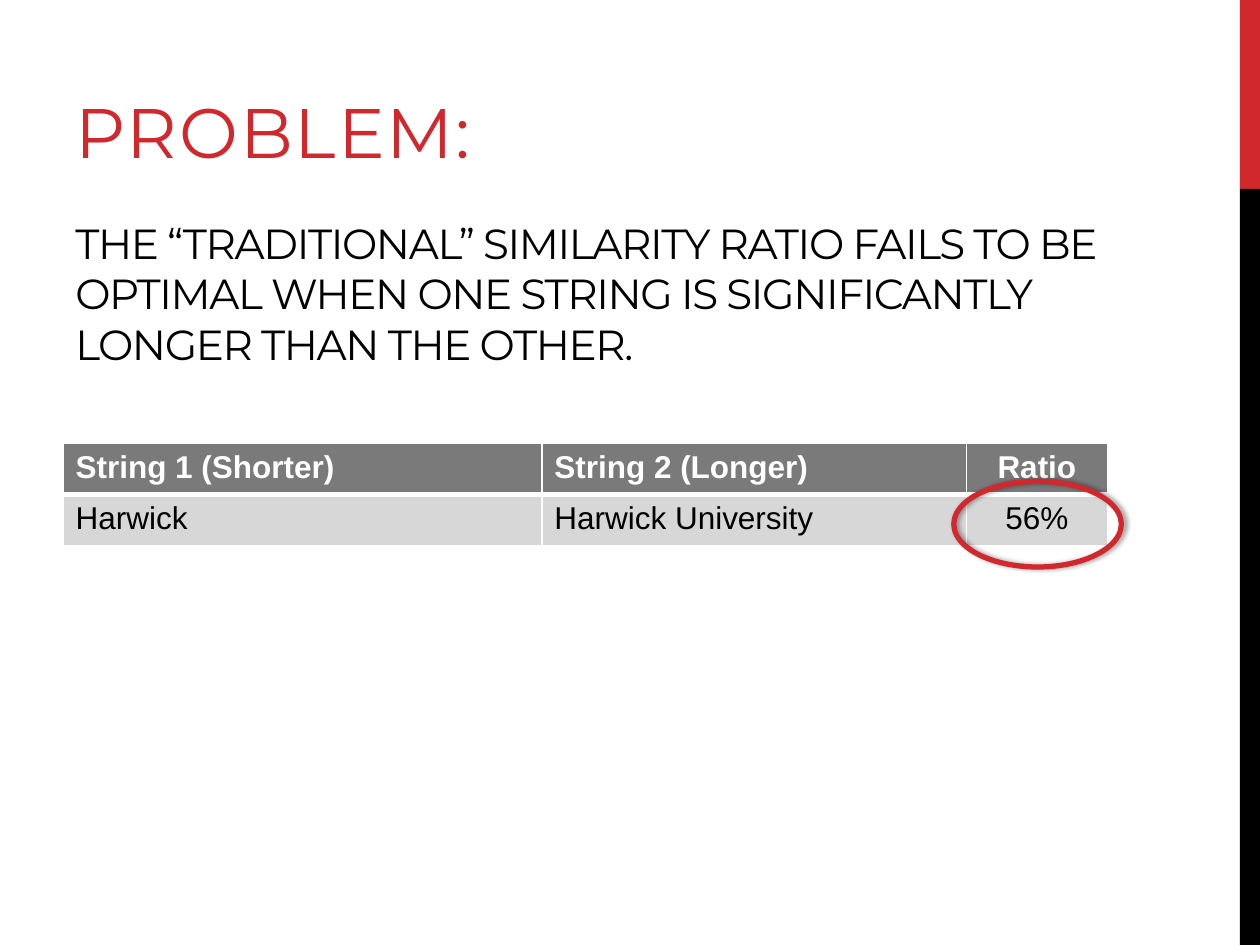
from dataclasses import dataclass

from lxml import etree
from pptx import Presentation
from pptx import util as u
from pptx.dml.color import RGBColor
from pptx.enum import shapes, text
from pptx.oxml import parse_xml
from pptx.oxml.ns import nsdecls, qn


@dataclass(frozen=True)
class Theme:
    red: str = "D1282E"
    black: str = "000000"
    white: str = "FFFFFF"
    header_fill: str = "7A7A7A"
    row_fill: str = "D7D7D7"
    heading_font: str = "Montserrat"
    table_font: str = "Arial"
    heading_size: int = 40
    statement_size: int = 24
    table_size: int = 18


THEME = Theme()
COLUMN_WIDTHS = (3.8, 3.37, 1.12)
ROWS = (
    ("String 1 (Shorter)", "String 2 (Longer)", "Ratio"),
    ("Harwick", "Harwick University", "56%"),
)


def rgb(color):
    return RGBColor.from_string(color)


def inches(box):
    return [u.Inches(length) for length in box]


def write(frame, words, *, font, size, color, bold=False, spacing=0,
          align=text.PP_ALIGN.LEFT):
    """Fill a text frame with one formatted run; spacing is in points."""
    paragraph = frame.paragraphs[0]
    paragraph.alignment = align
    run = paragraph.add_run()
    run.text = words
    run.font.name = font
    run.font.size = u.Pt(size)
    run.font.bold = bold
    run.font.color.rgb = rgb(color)
    if spacing:
        run._r.get_or_add_rPr().set("spc", str(round(spacing * 100)))


def add_text(slide, box, words, *, anchor, bottom_inset=0.05, **style):
    frame = slide.shapes.add_textbox(*inches(box)).text_frame
    frame.word_wrap = True
    frame.vertical_anchor = anchor
    frame.margin_bottom = u.Inches(bottom_inset)
    write(frame, words, **style)


def add_side_bar(slide, box):
    """Vertical strip: the top fifth red, the rest black."""
    left, top, width, height = box
    split = height / 5
    for offset, part, color in ((0, split, THEME.red),
                                (split, height - split, THEME.black)):
        strip = slide.shapes.add_shape(
            shapes.MSO_SHAPE.RECTANGLE,
            *inches((left, top + offset, width, part)))
        strip.shadow.inherit = False
        strip.fill.solid()
        strip.fill.fore_color.rgb = rgb(color)
        strip.line.fill.background()


def set_borders(cell, **widths):
    """Draw white cell borders; widths in points, in the order L, R, T, B."""
    properties = cell._tc.get_or_add_tcPr()
    for index, (side, width) in enumerate(widths.items()):
        properties.insert(index, parse_xml(
            f'<a:ln{side} {nsdecls("a")} w="{u.Pt(width)}"><a:solidFill>'
            f'<a:srgbClr val="{THEME.white}"/></a:solidFill></a:ln{side}>'))


def add_ratio_table(slide, box):
    table = slide.shapes.add_table(
        len(ROWS), len(COLUMN_WIDTHS), *inches(box)).table
    table.horz_banding = False
    for column, width in zip(table.columns, COLUMN_WIDTHS):
        column.width = u.Inches(width)
    for row_index, row in enumerate(ROWS):
        header = row_index == 0
        for column_index, words in enumerate(row):
            cell = table.cell(row_index, column_index)
            cell.fill.solid()
            cell.fill.fore_color.rgb = rgb(
                THEME.header_fill if header else THEME.row_fill)
            last = column_index == len(row) - 1
            write(cell.text_frame, words, font=THEME.table_font,
                  size=THEME.table_size, bold=header,
                  color=THEME.white if header else THEME.black,
                  align=text.PP_ALIGN.CENTER if last else text.PP_ALIGN.LEFT)
            set_borders(cell, L=1, R=1, T=1 if header else 3,
                        B=3 if header else 1)


def add_highlight(slide, box):
    """Red ring with a soft shadow to its right."""
    ring = slide.shapes.add_shape(shapes.MSO_SHAPE.OVAL, *inches(box))
    ring.shadow.inherit = False
    ring.fill.background()
    ring.line.color.rgb = rgb(THEME.red)
    ring.line.width = u.Pt(3)
    effects = ring._element.spPr.find(qn("a:effectLst"))
    shadow = etree.SubElement(
        effects, qn("a:outerShdw"), blurRad=str(u.Pt(3.1)),
        dist=str(u.Pt(1.8)), dir="0", rotWithShape="0")
    color = etree.SubElement(shadow, qn("a:srgbClr"), val=THEME.black)
    etree.SubElement(color, qn("a:alpha"), val="40000")


def main():
    presentation = Presentation()
    presentation.slide_width, presentation.slide_height = inches((10, 7.5))
    slide = presentation.slides.add_slide(presentation.slide_layouts[6])
    add_side_bar(slide, (9.84, 0, 0.16, 7.5))
    add_text(slide, (0.5, 1.58, 8.5, 1.89),
             "THE “TRADITIONAL” SIMILARITY RATIO FAILS TO BE OPTIMAL WHEN "
             "ONE STRING IS SIGNIFICANTLY LONGER THAN THE OTHER.",
             anchor=text.MSO_ANCHOR.MIDDLE, bottom_inset=0.45,
             font=THEME.heading_font, size=THEME.statement_size,
             color=THEME.black, spacing=-0.8)
    add_text(slide, (0.5, 0.25, 8.5, 1.17), "PROBLEM:",
             anchor=text.MSO_ANCHOR.BOTTOM, font=THEME.heading_font,
             size=THEME.heading_size, color=THEME.red, spacing=1.2)
    add_ratio_table(slide, (0.5, 3.52, sum(COLUMN_WIDTHS), 0.81))
    add_highlight(slide, (7.57, 3.82, 1.33, 0.68))
    presentation.save("out.pptx")


if __name__ == "__main__":
    main()
